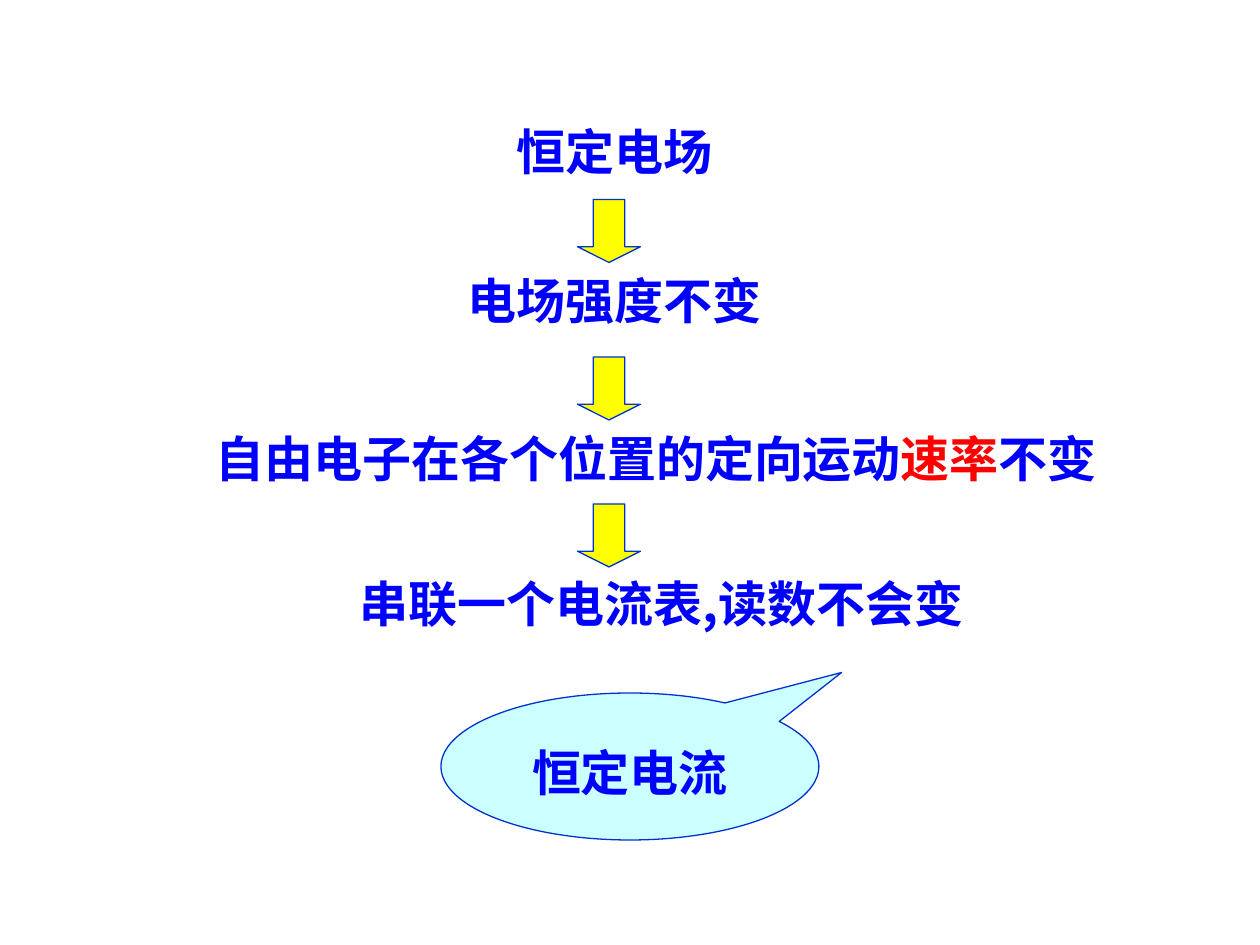
import dataclasses

import lxml.etree
import pptx
import pptx.dml.color
import pptx.enum.shapes
import pptx.enum.text
import pptx.oxml.ns
import pptx.util

SHAPE = pptx.enum.shapes.MSO_SHAPE
UNIT = 1 / 12  # inches in one grid step; the slide is 120 by 90 steps


@dataclasses.dataclass(frozen=True)
class Theme:
    font: str = "Noto Sans CJK SC"
    size: int = 28
    text: str = "0000FF"
    key: str = "FF0000"
    arrow: str = "FFFF00"
    bubble: str = "CCFFFF"
    line: str = "0033CC"
    width: float = 0.75


THEME = Theme()


def grid(*steps):
    return [pptx.util.Inches(step * UNIT) for step in steps]


def rgb(code):
    return pptx.dml.color.RGBColor.from_string(code)


def write(frame, text):
    """Write one centred line; parts between bars are in the key colour."""
    frame.word_wrap = True
    frame.vertical_anchor = pptx.enum.text.MSO_ANCHOR.MIDDLE
    para = frame.paragraphs[0]
    para.alignment = pptx.enum.text.PP_ALIGN.CENTER
    font = para.font
    font.size = pptx.util.Pt(THEME.size)
    font.bold = True
    font.color.rgb = rgb(THEME.text)
    font.name = THEME.font
    props = para._p.pPr.find(pptx.oxml.ns.qn("a:defRPr"))
    east = lxml.etree.SubElement(props, pptx.oxml.ns.qn("a:ea"))
    east.set("typeface", THEME.font)
    for i, part in enumerate(text.split("|")):
        run = para.add_run()
        run.text = part
        if i % 2:
            run.font.color.rgb = rgb(THEME.key)


def add_step(slide, text, left, top, width):
    box = slide.shapes.add_textbox(*grid(left, top, width, 6.8))
    write(box.text_frame, text)


def add_form(slide, kind, fill, *place):
    form = slide.shapes.add_shape(kind, *grid(*place))
    form.shadow.inherit = False
    form.fill.solid()
    form.fill.fore_color.rgb = rgb(fill)
    form.line.color.rgb = rgb(THEME.line)
    form.line.width = pptx.util.Pt(THEME.width)
    return form


def add_arrow(slide, top):
    arrow = add_form(slide, SHAPE.DOWN_ARROW, THEME.arrow, 55, top, 6, 6)
    arrow.adjustments[0] = 0.5
    arrow.adjustments[1] = 0.25


def add_bubble(slide, text, *place):
    bubble = add_form(slide, SHAPE.OVAL_CALLOUT, THEME.bubble, *place)
    bubble.adjustments[0] = 0.56
    bubble.adjustments[1] = -0.64
    frame = bubble.text_frame
    frame.margin_top = pptx.util.Inches(0.13)
    write(frame, text)


def main():
    deck = pptx.Presentation()
    deck.slide_width, deck.slide_height = grid(120, 90)
    slide = deck.slides.add_slide(deck.slide_layouts.get_by_name("Blank"))
    steps = [
        ("恒定电场", 41, 11, 35),
        ("电场强度不变", 38, 25.2, 41),
        ("自由电子在各个位置的定向运动|速率|不变", 11, 40.2, 103),
        ("串联一个电流表,读数不会变", 24, 54, 78),
    ]
    for step in steps:
        add_step(slide, *step)
    for top in (19, 34, 48):
        add_arrow(slide, top)
    add_bubble(slide, "恒定电流", 42, 66, 36, 14)
    deck.save("out.pptx")


if __name__ == "__main__":
    main()
